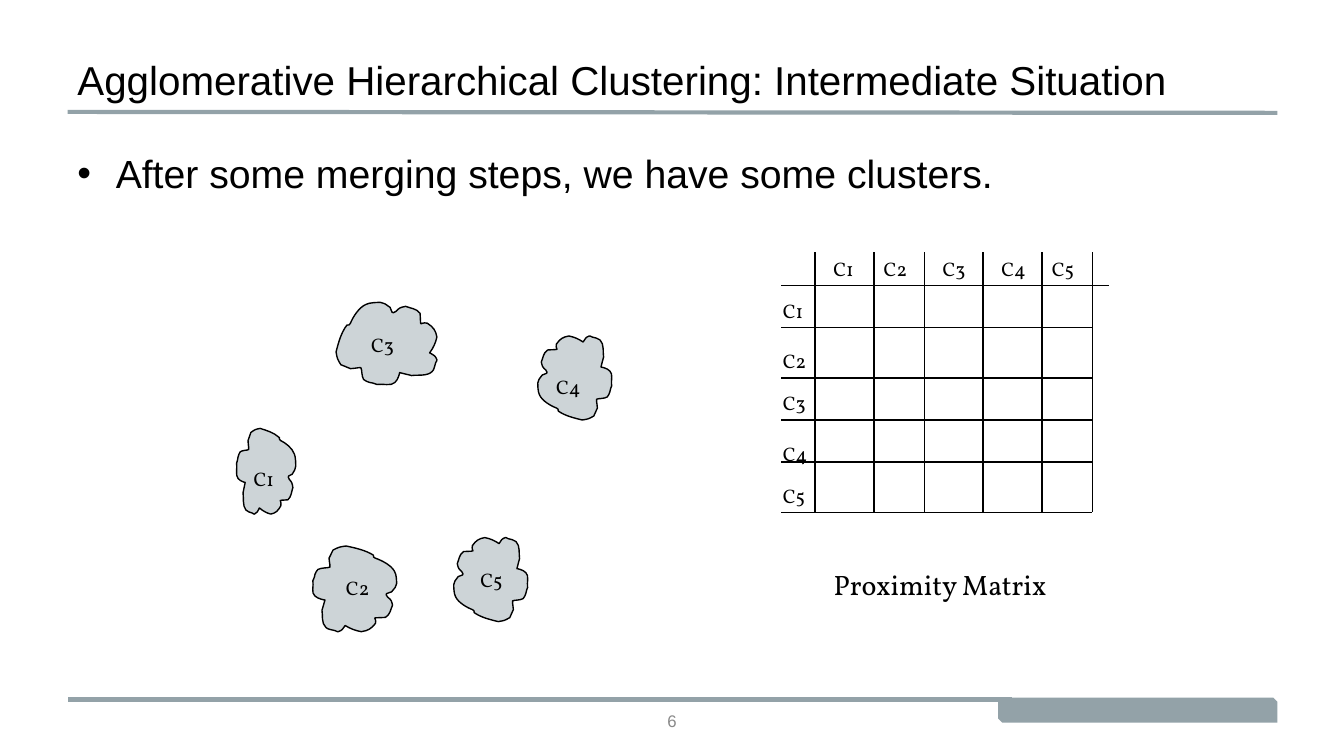
from lxml import etree
from pptx import Presentation
from pptx.dml.color import RGBColor
from pptx.enum import shapes, text
from pptx.oxml import ns
from pptx.util import Inches, Pt

BLACK = RGBColor(0x00, 0x00, 0x00)
SLATE = RGBColor(0x93, 0xA2, 0xA8)
PALE_SLATE = RGBColor(0xCD, 0xD4, 0xD7)
NUMBER_GRAY = RGBColor(0x89, 0x89, 0x89)
SANS, SERIF = "Arial", "Vollkorn"

NAMES = ["C1", "C2", "C3", "C4", "C5"]

# The drawing sits on a grid of twelfths of an inch
STEP = 1 / 12
COLUMN_RULES = [97, 104, 110, 117, 124, 130]
ROW_RULES = [34, 39, 45, 50, 55, 61]
COLUMN_LABELS = [98, 104, 111, 118, 124]
ROW_LABELS = [35, 41, 46, 52, 57]
MATRIX_LEFT, MATRIX_TOP, HEADER_RIGHT = 93, 30, 132

# Cluster name: grid position, size in grid steps, rotation, label position
CLUSTERS = {
    "C1": ((28, 51), (7.2, 10.2), 0, (29, 55)),
    "C3": ((41, 35), (10, 12), 270, (43, 39)),
    "C4": ((64, 40), (9, 10), 180, (65, 44)),
    "C2": ((37, 65), (10.2, 10.2), 0, (40, 68)),
    "C5": ((54, 64), (9, 10), 180, (56, 67)),
}

# Cluster outline: a start, then cubic Bézier segments
OUTLINE_WIDTH, OUTLINE_HEIGHT = 85, 84
OUTLINE_START = (62, 9)
OUTLINE_CURVES = [
    ((54, 4), (44, 2), (35, 0)), ((28, 1), (28, 1), (22, 4)),
    ((21, 7), (19, 9), (18, 12)), ((19, 24), (22, 20), (10, 22)),
    ((9, 22), (8, 22), (7, 23)), ((4, 27), (6, 24), (4, 28)),
    ((4, 30), (2, 34), (2, 34)), ((3, 39), (0, 46), (4, 49)),
    ((7, 52), (14, 53), (14, 53)), ((13, 56), (12, 60), (11, 63)),
    ((12, 67), (10, 76), (15, 80)), ((17, 82), (21, 82), (24, 83)),
    ((25, 84), (27, 84), (27, 84)), ((31, 83), (32, 81), (34, 78)),
    ((39, 81), (44, 83), (50, 84)), ((57, 83), (60, 81), (64, 76)),
    ((66, 69), (57, 71), (74, 70)), ((79, 67), (79, 62), (81, 58)),
    ((80, 54), (80, 53), (76, 50)), ((73, 46), (75, 47), (80, 45)),
    ((85, 39), (83, 42), (85, 37)), ((85, 35), (85, 28), (83, 25)),
    ((80, 19), (70, 14), (64, 12)), ((62, 12), (62, 10), (62, 9)),
]


def add_text(slide, content, left, top, width, height, *, size=14, font=SERIF,
             color=BLACK, align=text.PP_ALIGN.LEFT, anchor=text.MSO_ANCHOR.TOP,
             bullet=None):
    box = slide.shapes.add_textbox(*map(Inches, (left, top, width, height)))
    frame = box.text_frame
    frame.word_wrap = True
    frame.vertical_anchor = anchor
    paragraph = frame.paragraphs[0]
    paragraph.alignment = align
    run = paragraph.add_run()
    run.text = content
    run.font.size = Pt(size)
    run.font.name = font
    run.font.color.rgb = color
    if bullet:
        properties = paragraph._p.get_or_add_pPr()
        properties.set("marL", str(Inches(0.38)))
        properties.set("indent", str(Inches(-0.38)))
        etree.SubElement(properties, ns.qn("a:buFont")).set("typeface", font)
        etree.SubElement(properties, ns.qn("a:buChar")).set("char", bullet)


def add_line(slide, start, end, color=BLACK, width=1):
    line = slide.shapes.add_connector(
        shapes.MSO_CONNECTOR.STRAIGHT, *map(Inches, (*start, *end)))
    line.line.color.rgb = color
    line.line.width = Pt(width)
    etree.SubElement(line._element.spPr, ns.qn("a:effectLst"))


def add_rule(slide, start, end):
    """Add a matrix line between two points given in grid steps."""
    add_line(slide, [value * STEP for value in start], [value * STEP for value in end])


def add_label(slide, name, column, row, width):
    add_text(slide, name, column * STEP, row * STEP, width, 0.33)


def curve_outline(cluster):
    """Turn the straight segments of a freeform into the outline's curves."""
    path = next(cluster._element.iter(ns.qn("a:path")))
    path.set("w", str(OUTLINE_WIDTH))
    path.set("h", str(OUTLINE_HEIGHT))
    start = next(path.iter(ns.qn("a:pt")))
    start.set("x", str(OUTLINE_START[0]))
    start.set("y", str(OUTLINE_START[1]))
    for segment, curve in zip(path.findall(ns.qn("a:lnTo")), OUTLINE_CURVES):
        bezier = etree.Element(ns.qn("a:cubicBezTo"))
        for x, y in curve:
            etree.SubElement(bezier, ns.qn("a:pt"), x=str(x), y=str(y))
        path.replace(segment, bezier)


def add_cluster(slide, position, size, rotation):
    builder = slide.shapes.build_freeform(*OUTLINE_START)
    builder.add_line_segments([curve[-1] for curve in OUTLINE_CURVES], close=True)
    cluster = builder.convert_to_shape()
    curve_outline(cluster)
    cluster.left, cluster.top = [Inches(value * STEP) for value in position]
    cluster.width, cluster.height = [Inches(value * STEP) for value in size]
    cluster.rotation = rotation
    cluster.shadow.inherit = False
    cluster.fill.solid()
    cluster.fill.fore_color.rgb = PALE_SLATE
    cluster.line.color.rgb = BLACK
    cluster.line.width = Pt(1)


def add_frame(slide):
    """Add the rules, the corner tab and the slide number."""
    tab = slide.shapes.add_shape(shapes.MSO_SHAPE.SNIP_2_DIAG_RECTANGLE,
                                 *map(Inches, (9.9, 6.92, 2.77, 0.25)))
    tab.shadow.inherit = False
    tab.fill.solid()
    tab.fill.fore_color.rgb = SLATE
    tab.line.fill.background()
    add_line(slide, (10.04, 6.94), (0.67, 6.94), SLATE, 3)
    add_line(slide, (12.67, 1.12), (0.67, 1.11), SLATE, 3)
    add_text(slide, "6", 5.08, 6.95, 3.17, 0.4, size=12, font=SANS, color=NUMBER_GRAY,
             align=text.PP_ALIGN.CENTER, anchor=text.MSO_ANCHOR.MIDDLE)


def add_matrix(slide):
    right, bottom = COLUMN_RULES[-1], ROW_RULES[-1]
    for column in COLUMN_RULES:
        add_rule(slide, (column, MATRIX_TOP), (column, bottom))
    for row in ROW_RULES:
        end = HEADER_RIGHT if row == ROW_RULES[0] else right
        add_rule(slide, (MATRIX_LEFT, row), (end, row))
    for name, column, row in zip(NAMES, COLUMN_LABELS, ROW_LABELS):
        add_label(slide, name, column, MATRIX_TOP, 0.58)
        add_label(slide, name, MATRIX_LEFT - 1, row, 0.58)
    add_text(slide, "Proximity Matrix", 8.17, 5.58, 2.75, 0.43, size=20)


def main():
    presentation = Presentation()
    presentation.slide_width = Inches(13.33)
    presentation.slide_height = Inches(7.5)
    slide = presentation.slides.add_slide(presentation.slide_layouts[6])
    add_frame(slide)
    add_text(slide, "Agglomerative Hierarchical Clustering: Intermediate Situation",
             0.67, 0.39, 12, 0.79, size=28.8, font=SANS, anchor=text.MSO_ANCHOR.MIDDLE)
    add_text(slide, "After some merging steps, we have some clusters.",
             0.67, 1.43, 12, 5.34, size=28, font=SANS, bullet="•")
    for name, (position, size, rotation, label) in CLUSTERS.items():
        add_cluster(slide, position, size, rotation)
        add_label(slide, name, *label, 0.5)
    add_matrix(slide)
    presentation.save("out.pptx")


if __name__ == "__main__":
    main()
